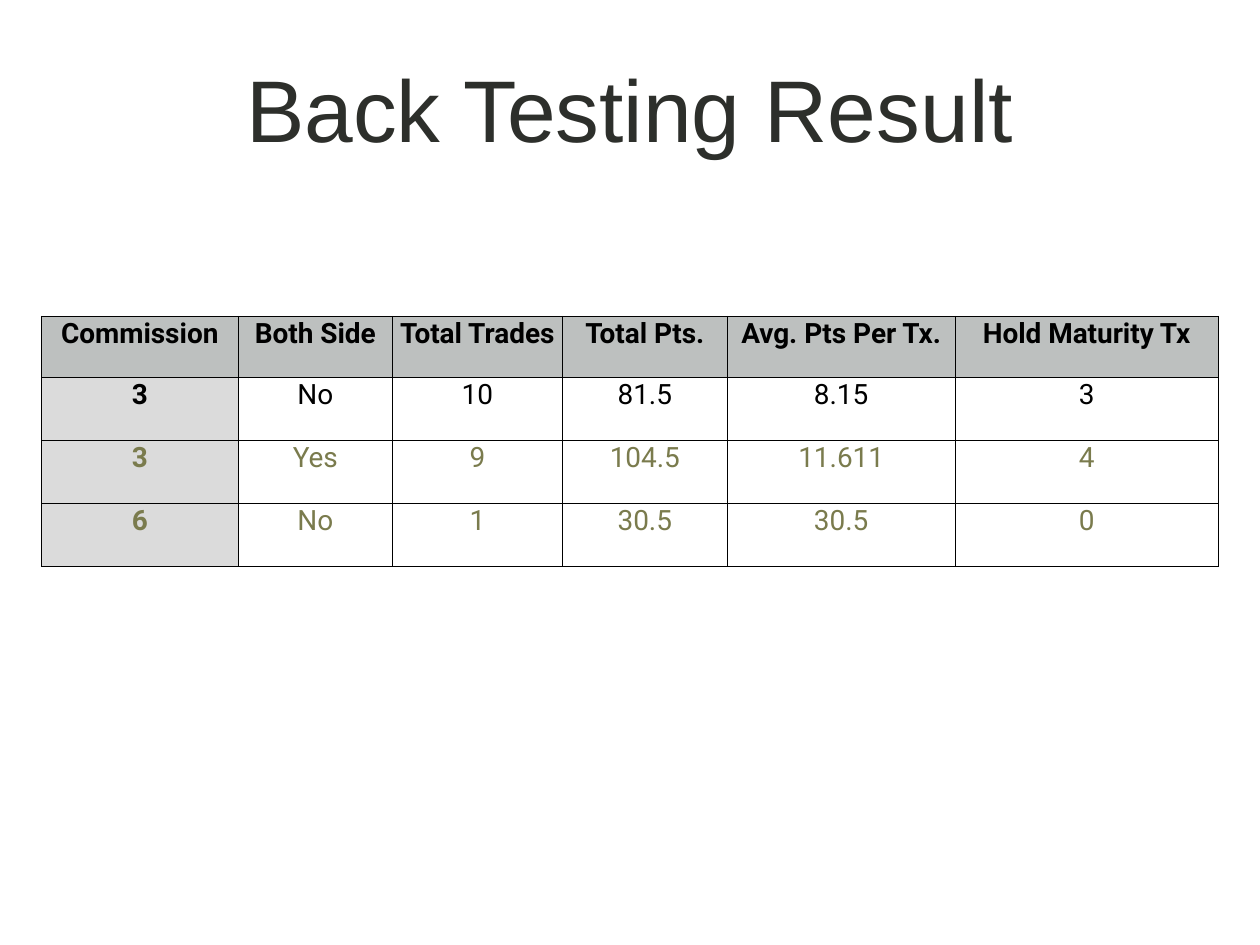
from dataclasses import dataclass

from lxml.etree import SubElement
from pptx import Presentation
from pptx.dml.color import RGBColor
from pptx.enum.text import MSO_ANCHOR, PP_ALIGN
from pptx.oxml.ns import qn
from pptx.slide import Slide
from pptx.table import _Cell as Cell
from pptx.text.text import _Paragraph as Paragraph
from pptx.util import Pt

BLACK, OLIVE, CHARCOAL = "000000", "7A7B4D", "2D2F2B"
HEADER_GRAY, COMMISSION_GRAY = "BDC0BF", "DBDBDB"
COLUMN_WIDTHS = (112.5, 88, 97.2, 94.2, 130.3, 150.3)
HEADER_HEIGHT, RESULT_HEIGHT = 35, 36
TABLE_LEFT, TABLE_TOP = 23.7, 180.8


@dataclass(frozen=True)
class ResultRow:
    values: tuple[str, ...]
    color: str = BLACK


HEADER = ResultRow(("Commission", "Both Side", "Total Trades", "Total Pts.",
                    "Avg. Pts Per Tx.", "Hold Maturity Tx"))
RESULTS = (
    ResultRow(("3", "No", "10", "81.5", "8.15", "3")),
    ResultRow(("3", "Yes", "9", "104.5", "11.611", "4"), OLIVE),
    ResultRow(("6", "No", "1", "30.5", "30.5", "0"), OLIVE),
)


def rgb(value: str) -> RGBColor:
    return RGBColor.from_string(value)


def style_paragraph(paragraph: Paragraph, font_name: str, size: float,
                    color: str, bold: bool = False) -> None:
    paragraph.alignment = PP_ALIGN.CENTER
    font = paragraph.font
    font.name, font.size, font.bold = font_name, Pt(size), bold
    font.color.rgb = rgb(color)


def add_borders(cell: Cell, color: str, width: float) -> None:
    properties = cell._tc.get_or_add_tcPr()
    for side in ("a:lnL", "a:lnR", "a:lnT", "a:lnB"):
        border = SubElement(properties, qn(side), w=str(Pt(width)))
        SubElement(SubElement(border, qn("a:solidFill")), qn("a:srgbClr"), val=color)


def fill_cell(cell: Cell, value: str, color: str, bold: bool, background: str | None) -> None:
    cell.text = value
    cell.margin_left = cell.margin_right = cell.margin_top = Pt(0.7)
    cell.margin_bottom = Pt(0)
    cell.vertical_anchor = MSO_ANCHOR.TOP
    style_paragraph(cell.text_frame.paragraphs[0], "Roboto", 16, color, bold)
    add_borders(cell, BLACK, 0.5)
    if background:
        cell.fill.solid()
        cell.fill.fore_color.rgb = rgb(background)
    else:
        cell.fill.background()


def add_title(slide: Slide, wording: str) -> None:
    title = slide.shapes.title
    title.left, title.top, title.width, title.height = Pt(54), Pt(5), Pt(612), Pt(113)
    title.text_frame.text = wording
    title.text_frame.vertical_anchor = MSO_ANCHOR.MIDDLE
    style_paragraph(title.text_frame.paragraphs[0], "Arial", 50, CHARCOAL)


def add_results(slide: Slide) -> None:
    rows = (HEADER, *RESULTS)
    heights = (HEADER_HEIGHT, *[RESULT_HEIGHT] * len(RESULTS))
    results = slide.shapes.add_table(
        len(rows), len(COLUMN_WIDTHS), Pt(TABLE_LEFT), Pt(TABLE_TOP),
        Pt(sum(COLUMN_WIDTHS)), Pt(sum(heights))).table
    for column, width in zip(results.columns, COLUMN_WIDTHS):
        column.width = Pt(width)
    for row_index, (row, height) in enumerate(zip(rows, heights)):
        results.rows[row_index].height = Pt(height)
        for column_index, value in enumerate(row.values):
            is_header, is_commission = row is HEADER, column_index == 0
            background = (HEADER_GRAY if is_header
                          else COMMISSION_GRAY if is_commission else None)
            fill_cell(results.cell(row_index, column_index), value, row.color,
                      is_header or is_commission, background)


def main() -> None:
    """Build the back testing slide with its title and results table."""
    presentation = Presentation()
    presentation.slide_width, presentation.slide_height = Pt(720), Pt(540)
    slide = presentation.slides.add_slide(presentation.slide_layouts.get_by_name("Title Only"))
    add_title(slide, "Back Testing Result")
    add_results(slide)
    presentation.save("out.pptx")


if __name__ == "__main__":
    main()
